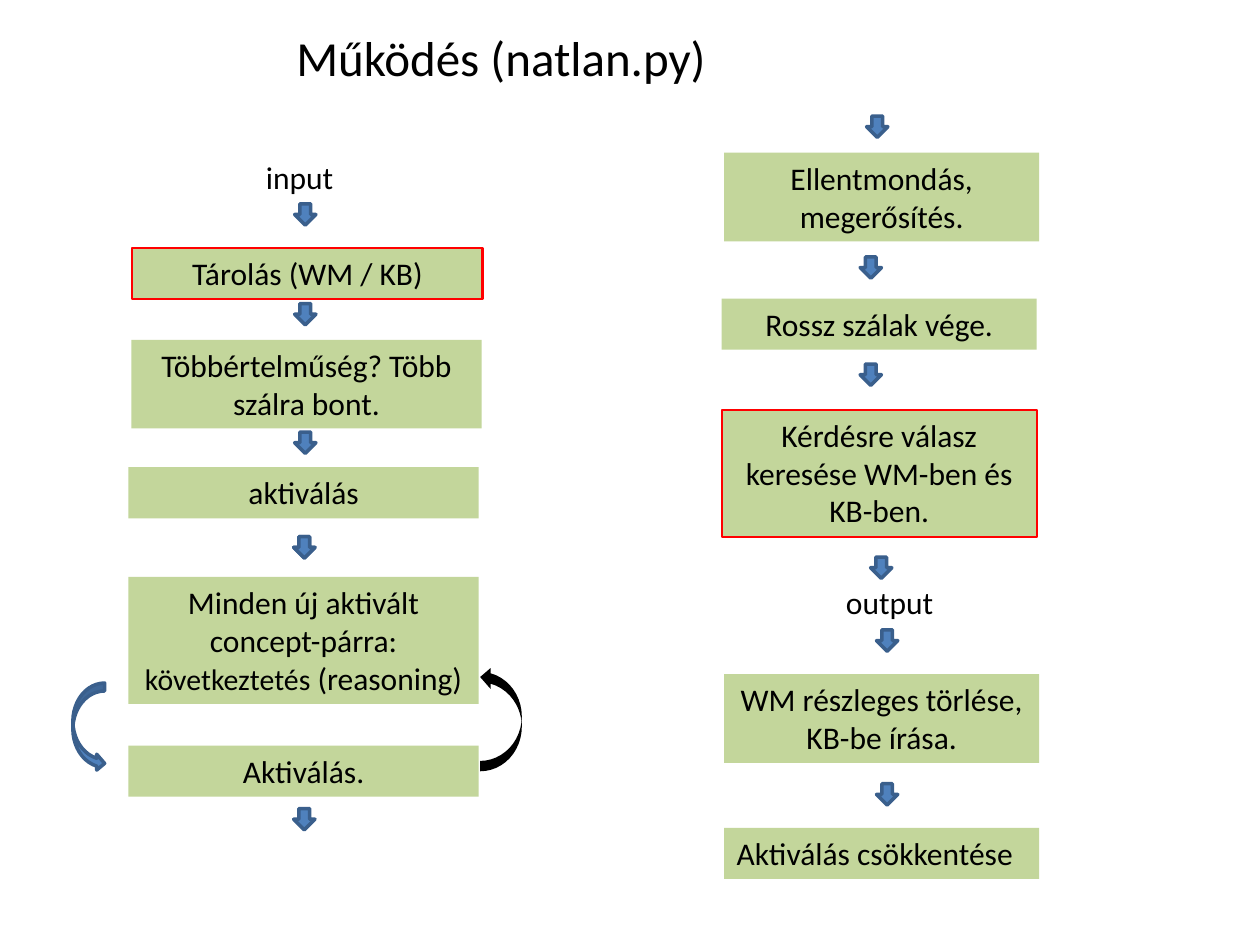
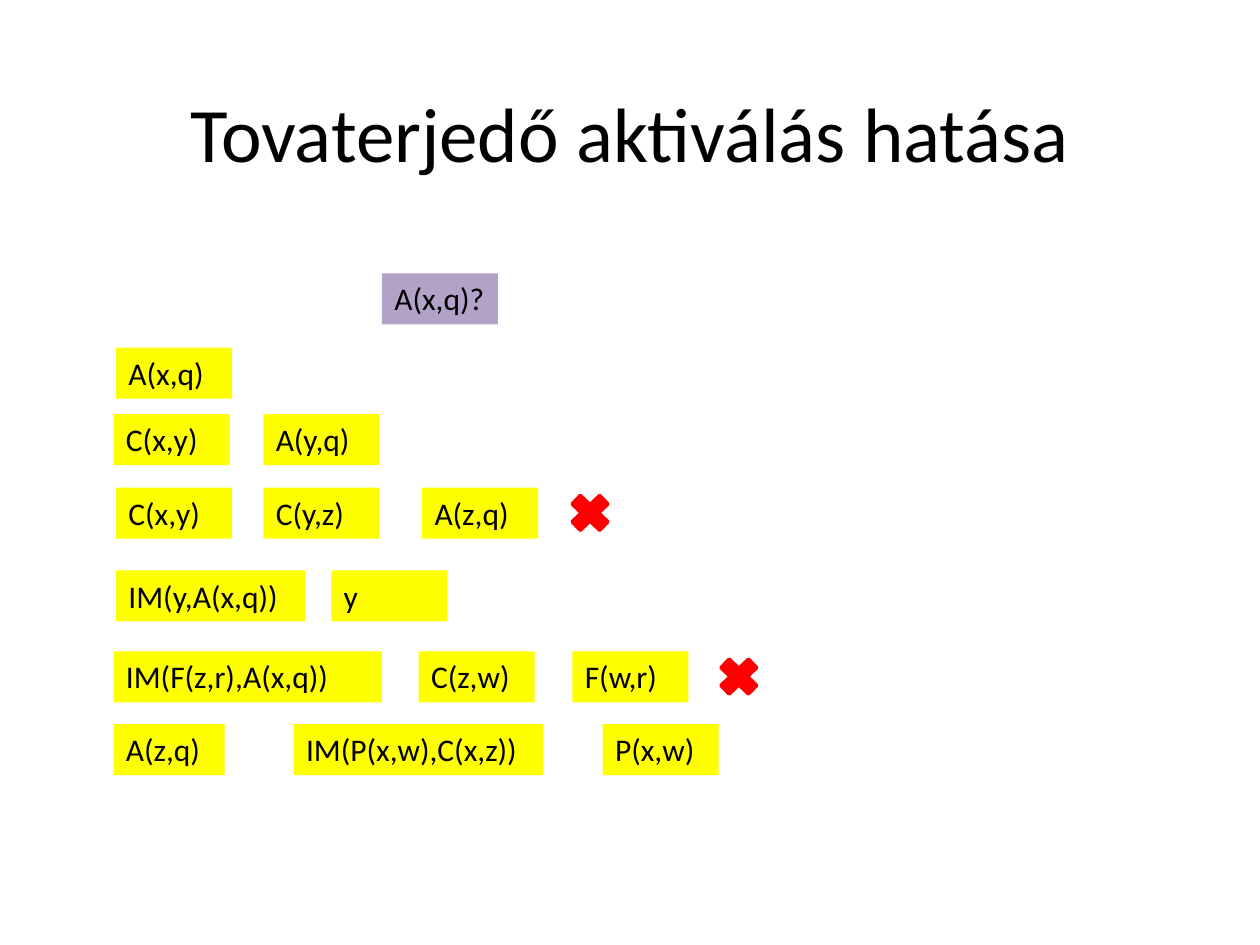
from pptx import Presentation
from pptx.dml.color import RGBColor
from pptx.enum.shapes import MSO_SHAPE
from pptx.enum.text import MSO_ANCHOR, MSO_AUTO_SIZE, PP_ALIGN
from pptx.util import Cm, Pt

HUES = {
    "ink": "000000", "step": "C3D69B", "key": "FF0000", "arrow": "4F81BD",
    "edge": "3A5F8C", "fact": "FFFF00", "query": "B3A2C7",
}
FONT = "Calibri"
LEFT, MID = PP_ALIGN.LEFT, PP_ALIGN.CENTER
HIGH = [0, 1.03, 1.79, 2.56]  # box height by number of text lines


def hue(name):
    return RGBColor.from_string(HUES[name])


def write(frame, runs, size, align):
    """Fill one paragraph; a run is a text or a (text, size) pair."""
    frame.word_wrap = True
    par = frame.paragraphs[0]
    par.alignment = align
    for part in [runs] if isinstance(runs, str) else runs:
        words, points = (part, size) if isinstance(part, str) else part
        run = par.add_run()
        run.text = words
        run.font.name = FONT
        run.font.size = Pt(points)
        run.font.color.rgb = hue("ink")


def title(slide, text, box, size, align, anchor):
    head = slide.shapes.title
    head.left, head.top, head.width, head.height = map(Cm, box)
    write(head.text_frame, text, size, align)
    head.text_frame.auto_size = MSO_AUTO_SIZE.NONE
    head.text_frame.vertical_anchor = anchor


def shape(slide, kind, box, fill, line=None, width=2):
    item = slide.shapes.add_shape(kind, *map(Cm, box))
    item.shadow.inherit = False
    item.fill.solid()
    item.fill.fore_color.rgb = hue(fill)
    if line:
        item.line.color.rgb = hue(line)
        item.line.width = Pt(width)
    else:
        item.line.fill.background()
    return item


def label(slide, text, box, fill=None, line=None, align=LEFT):
    """Text in a filled box, or in a plain text box without a fill."""
    if fill:
        item = shape(slide, MSO_SHAPE.RECTANGLE, box, fill, line, 1.25)
    else:
        item = slide.shapes.add_textbox(*map(Cm, box))
    frame = item.text_frame
    write(frame, text, 18, align)
    frame.vertical_anchor = MSO_ANCHOR.TOP
    frame.auto_size = MSO_AUTO_SIZE.SHAPE_TO_FIT_TEXT


def flow(slide, left, top, wide, steps, downs):
    """A column of steps with the small arrows between them."""
    for x, y, rows, text, line, align in steps:
        box = left + x, top + y, wide, HIGH[rows]
        label(slide, text, box, "step", line, align)
    for x, y in downs:
        box = left + x, top + y, 0.43, 0.43
        shape(slide, MSO_SHAPE.DOWN_ARROW, box, "arrow", "edge")


def loop(slide, left, top):
    """The two curved arrows of the reasoning cycle."""
    box = left, top + 0.33, 0.64, 1.78
    shape(slide, MSO_SHAPE.CURVED_RIGHT_ARROW, box, "arrow", "edge")
    box = left + 8.21, top, 0.84, 2.11
    back = shape(slide, MSO_SHAPE.CURVED_LEFT_ARROW, box, "ink")
    back._element.spPr.xfrm.set("flipV", "1")  # head at the top


def facts(slide, left, top, rows):
    """Rows of facts; a row that fails ends in a cross."""
    for y, fill, cells, cross in rows:
        for x, wide, text in cells:
            label(slide, text, (left + x, top + y, wide, HIGH[1]), fill)
        if cross:
            box = left + cross, top + y, 1.07, 1.02
            shape(slide, MSO_SHAPE.MATH_MULTIPLY, box, "key", "key")


deck = Presentation()
deck.slide_width, deck.slide_height = Cm(25.4), Cm(19.05)
plain = deck.slide_layouts[5]  # title only

# Slide 1: how the program works
page = deck.slides.add_slide(plain)
title(page, "Működés (natlan.py)", (5.72, 0.43, 9.96, 1.45), 28, LEFT,
      MSO_ANCHOR.TOP)
label(page, "input", (5.11, 3.07, 2.69, HIGH[1]))
flow(page, 2.59, 3.07, 7.06, [
    (0.08, 1.93, 1, "Tárolás (WM / KB)", "key", MID),
    (0.06, 3.78, 2, "Többértelműség? Több szálra bont.", None, MID),
    (0, 6.35, 1, "aktiválás", None, MID),
    (0, 8.56, 3, ["Minden új aktivált concept-párra: ",
                  ("következtetés", 17), " (reasoning)"], None, MID),
    (0, 11.96, 1, "Aktiválás.", None, MID),
], [(3.35, 1.04), (3.35, 3.05), (3.35, 5.64), (3.33, 7.75), (3.33, 10.16 - 1.7),
    (3.33, 13.23)][:4] + [(3.33, 13.23)])
shape(page, MSO_SHAPE.DOWN_ARROW, (5.92, 10.82, 0.43, 0.43), "arrow", "edge")
loop(page, 1.47, 13.44)
flow(page, 14.55, 2.34, 6.35, [
    (0.05, 0.74, 2, "Ellentmondás, megerősítés.", None, MID),
    (0, 3.68, 1, "Rossz szálak vége.", None, MID),
    (0, 5.92, 3, "Kérdésre válasz keresése WM-ben és KB-ben.", "key", MID),
    (0.05, 11.25, 2, "WM részleges törlése, KB-be írása.", None, MID),
    (0.05, 14.35, 1, "Aktiválás csökkentése", None, LEFT),
], [(2.92, 0), (2.79, 2.84), (2.79, 5), (3, 8.89), (3.12, 10.36),
    (3.12, 13.46)])
label(page, "output", (15.93, 11.63, 4.01, HIGH[1]), align=MID)

# Slide 2: effect of spreading activation
page = deck.slides.add_slide(plain)
title(page, "Tovaterjedő aktiválás hatása", (1.27, 1.07, 22.86, 3.18), 44, MID,
      MSO_ANCHOR.MIDDLE)
UNIT = 2.34  # width of a short fact
facts(page, 2.29, 5.51, [
    (0, "query", [(5.41, UNIT, "A(x,q)?")], None),
    (1.5, "fact", [(0.05, UNIT, "A(x,q)")], None),
    (2.84, "fact", [(0, UNIT, "C(x,y)"), (3.02, UNIT, "A(y,q)")], None),
    (4.32, "fact", [(0.05, UNIT, "C(x,y)"), (3.02, UNIT, "C(y,z)"),
                    (6.22, UNIT, "A(z,q)")], 9.07),
    (5.99, "fact", [(0.05, 3.81, "IM(y,A(x,q))"), (4.39, UNIT, "y")], None),
    (7.62, "fact", [(0, 5.41, "IM(F(z,r),A(x,q))"), (6.15, UNIT, "C(z,w)"),
                    (9.25, UNIT, "F(w,r)")], 12.07),
    (9.09, "fact", [(0, 2.24, "A(z,q)"), (3.63, 5.03, "IM(P(x,w),C(x,z))"),
                    (9.86, UNIT, "P(x,w)")], None),
])

deck.save("out.pptx")
